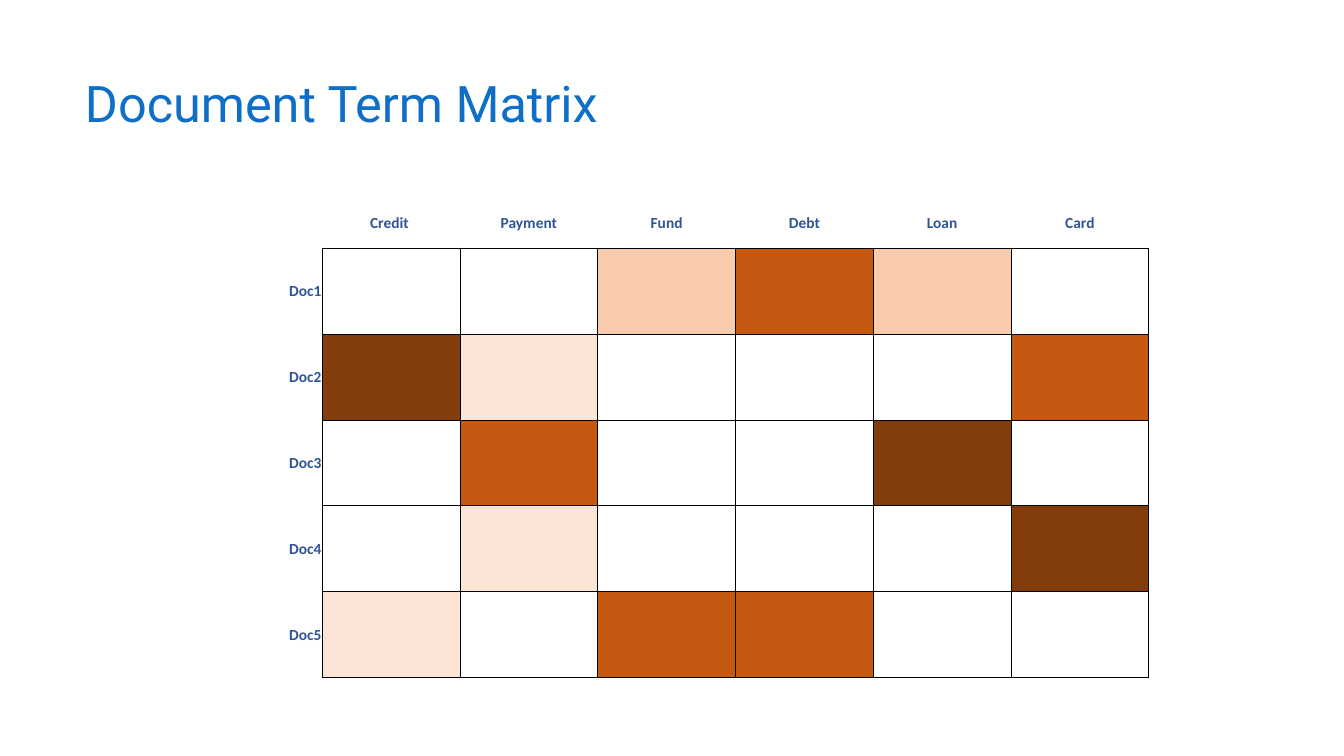
from lxml.etree import SubElement as Sub
from pptx import Presentation
from pptx.dml.color import RGBColor as RGB
from pptx.enum.text import MSO_ANCHOR as Anchor, PP_ALIGN as Align
from pptx.oxml.ns import qn
from pptx.util import Pt

BLUE = RGB(0x0F, 0x6F, 0xC6)
NAVY = RGB(0x30, 0x54, 0x96)
BLACK = RGB(0, 0, 0)
WHITE = RGB(255, 255, 255)
PALE = RGB(0xFC, 0xE4, 0xD6)
PEACH = RGB(0xF8, 0xCB, 0xAD)
RUST = RGB(0xC6, 0x59, 0x11)
BROWN = RGB(0x83, 0x3C, 0x0C)

TERMS = ["Credit ", "Payment", "Fund", "Debt", "Loan", "Card"]
SHADES = [
    [WHITE, WHITE, PEACH, RUST, PEACH, WHITE],
    [BROWN, PALE, WHITE, WHITE, WHITE, RUST],
    [WHITE, RUST, WHITE, WHITE, BROWN, WHITE],
    [WHITE, PALE, WHITE, WHITE, WHITE, BROWN],
    [PALE, WHITE, RUST, RUST, WHITE, WHITE],
]


class Deck:
    def __init__(self, slide):
        self.slide = slide
        self.head = ("Roboto", 36, BLUE, False)
        self.label = ("Calibri", 11, NAVY, True)

    def letter(self, frame, text, style, align):
        frame.text = text
        para = frame.paragraphs[0]
        para.alignment = align
        font = para.runs[0].font
        font.name, size, font.color.rgb, font.bold = style
        font.size = Pt(size)

    def title(self, text, left, top, width, height):
        box = self.slide.shapes.title
        box.left, box.top = Pt(left), Pt(top)
        box.width, box.height = Pt(width), Pt(height)
        box.text_frame.vertical_anchor = Anchor.TOP
        self.letter(box.text_frame, text, self.head, Align.LEFT)

    def border(self, cell, sides):
        props = cell._tc.get_or_add_tcPr()
        for side in "LRTB":
            line = Sub(props, qn("a:ln" + side), w=str(Pt(0.5)))
            if side in sides:
                fill = Sub(line, qn("a:solidFill"))
                Sub(fill, qn("a:srgbClr"), val=str(BLACK))
            else:
                Sub(line, qn("a:noFill"))

    def matrix(self, terms, shades, left, top, wide, first, tall):
        rows, cols = len(shades) + 1, len(terms) + 1
        frame = self.slide.shapes.add_table(
            rows, cols, Pt(left), Pt(top),
            Pt(wide * cols), Pt(first + tall * len(shades)))
        table = frame.table
        table.first_row = table.horz_banding = False
        for col in table.columns:
            col.width = Pt(wide)
        for r, row in enumerate(table.rows):
            row.height = Pt(tall if r else first)
            for c, cell in enumerate(row.cells):
                if r and c:
                    sides, shade = "LRTB", shades[r - 1][c - 1]
                else:
                    sides, shade = "B" if c else "R" if r else "", WHITE
                self.border(cell, sides)
                cell.fill.solid()
                cell.fill.fore_color.rgb = shade
                if sides in ("B", "R"):
                    self.tag(cell, terms[c - 1] if c else f"Doc{r}",
                             Align.CENTER if c else Align.RIGHT)

    def tag(self, cell, text, align):
        cell.margin_left = cell.margin_right = cell.margin_top = Pt(0.6)
        cell.margin_bottom = Pt(0)
        cell.vertical_anchor = Anchor.MIDDLE
        self.letter(cell.text_frame, text, self.label, align)


show = Presentation()
show.slide_width, show.slide_height = Pt(960), Pt(540)
deck = Deck(show.slides.add_slide(show.slide_layouts[5]))
deck.title("Document Term Matrix", 53.5, 48, 677, 104)
deck.matrix(TERMS, SHADES, 131.8, 140.4, 98.4, 36.8, 61.35)
show.save("out.pptx")
